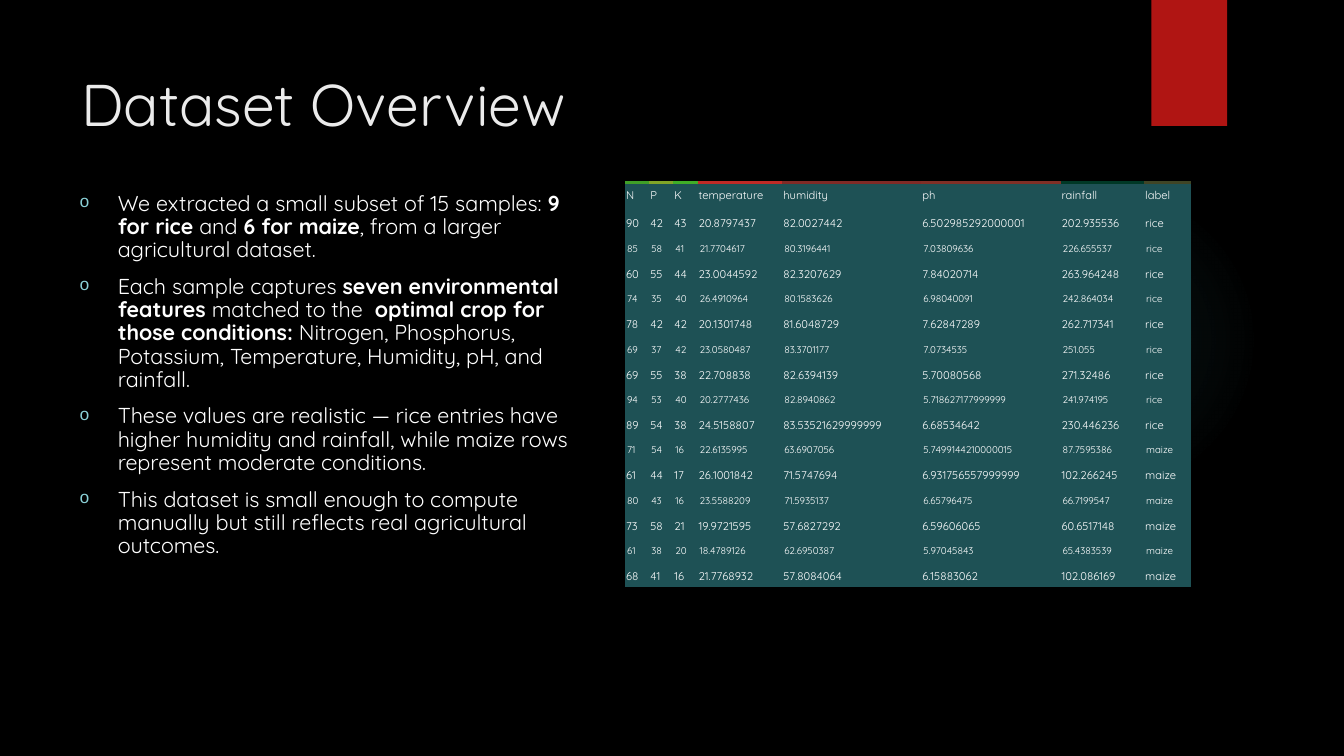
import pptx
import pptx.dml.color
import pptx.enum.shapes
import pptx.enum.text
import pptx.oxml
import pptx.oxml.ns
import pptx.util
from pptx.util import Inches

FONT = "Quicksand"
COLORS = {
    "background": "000000",
    "ribbon": "B01513",
    "title": "EBEBEB",
    "text": "FFFFFF",
    "bullet": "8AD0D6",
    "glow": "50B9C1",
    "cell": "1E5155",
}
NAMESPACE = 'xmlns:a="http://schemas.openxmlformats.org/drawingml/2006/main"'


def rgb(name):
    return pptx.dml.color.RGBColor.from_string(COLORS[name])


def add_run(paragraph, text, size, color, bold=False):
    run = paragraph.add_run()
    run.text = text
    run.font.name = FONT
    run.font.size = pptx.util.Pt(size)
    run.font.bold = bold
    run.font.color.rgb = rgb(color)


deck = pptx.Presentation()
deck.slide_width = Inches(13.33)
deck.slide_height = Inches(7.5)
slide = deck.slides.add_slide(deck.slide_layouts[6])
slide.background.fill.solid()
slide.background.fill.fore_color.rgb = rgb("background")

glow = slide.shapes.add_shape(
    pptx.enum.shapes.MSO_SHAPE.OVAL, Inches(9.41), Inches(1.83), Inches(3.08), Inches(3.08))
glow.shadow.inherit = False
glow.line.fill.background()
stops = "".join(
    f'<a:gs pos="{position * 1000}"><a:srgbClr val="{COLORS["glow"]}">'
    f'<a:alpha val="{alpha * 1000}"/></a:srgbClr></a:gs>'
    for position, alpha in [(0, 7), (36, 6), (69, 0)])
glow_fill = pptx.oxml.parse_xml(
    f'<a:gradFill {NAMESPACE} rotWithShape="1"><a:gsLst>{stops}</a:gsLst><a:path path="circle">'
    '<a:fillToRect l="50000" t="50000" r="50000" b="50000"/></a:path></a:gradFill>')
glow.element.spPr.find(pptx.oxml.ns.qn("a:prstGeom")).addnext(glow_fill)

ribbon = slide.shapes.add_shape(
    pptx.enum.shapes.MSO_SHAPE.RECTANGLE, Inches(11.42), 0, Inches(0.75), Inches(1.25))
ribbon.shadow.inherit = False
ribbon.fill.solid()
ribbon.fill.fore_color.rgb = rgb("ribbon")
ribbon.line.fill.background()

title = slide.shapes.add_textbox(Inches(0.71), Inches(0.62), Inches(6.43), Inches(1.8)).text_frame
title.word_wrap = True
add_run(title.paragraphs[0], "Dataset Overview", 42, "title")

points = [
    [("We extracted a small subset of 15 samples: ", False), ("9 for rice ", True),
     ("and ", False), ("6 for maize", True), (", from a larger agricultural dataset.", False)],
    [("Each sample captures ", False), ("seven environmental features ", True),
     ("matched to the ", False), (" optimal crop for those conditions: ", True),
     ("Nitrogen, Phosphorus, Potassium, Temperature, Humidity, pH, and rainfall.", False)],
    [("These values are realistic — rice entries have higher humidity and rainfall, "
      "while maize rows represent moderate conditions.", False)],
    [("This dataset is small enough to compute manually but still reflects real "
      "agricultural outcomes.", False)],
]
overview = slide.shapes.add_textbox(
    Inches(0.69), Inches(1.86), Inches(5.13), Inches(5.14)).text_frame
overview.word_wrap = True
for index, point in enumerate(points):
    paragraph = overview.add_paragraph() if index else overview.paragraphs[0]
    properties = paragraph._p.get_or_add_pPr()
    properties.set("marL", str(Inches(0.38)))
    properties.set("indent", str(-Inches(0.38)))
    for bullet in [f'<a:buClr {NAMESPACE}><a:srgbClr val="{COLORS["bullet"]}"/></a:buClr>',
                   f'<a:buSzPct {NAMESPACE} val="80000"/>',
                   f'<a:buFont {NAMESPACE} typeface="Courier New"/>',
                   f'<a:buChar {NAMESPACE} char="o"/>']:
        properties.append(pptx.oxml.parse_xml(bullet))
    paragraph.line_spacing = 0.9
    paragraph.space_before = pptx.util.Pt(9.5 if index else 0)
    for text, bold in point:
        add_run(paragraph, text, 15.4, "text", bold)

headings = [
    ("N", 0.24, "409F27"), ("P", 0.24, "80A427"), ("K", 0.24, "40AE27"),
    ("temperature", 0.84, "C02A26"), ("humidity", 1.38, "802A26"), ("ph", 1.38, "802F26"),
    ("rainfall", 0.83, "003826"), ("label", 0.46, "404526"),
]
samples = [
    ("90", "42", "43", "20.8797437", "82.0027442", "6.502985292000001", "202.935536", "rice"),
    ("85", "58", "41", "21.7704617", "80.3196441", "7.03809636", "226.655537", "rice"),
    ("60", "55", "44", "23.0044592", "82.3207629", "7.84020714", "263.964248", "rice"),
    ("74", "35", "40", "26.4910964", "80.1583626", "6.98040091", "242.864034", "rice"),
    ("78", "42", "42", "20.1301748", "81.6048729", "7.62847289", "262.717341", "rice"),
    ("69", "37", "42", "23.0580487", "83.3701177", "7.0734535", "251.055", "rice"),
    ("69", "55", "38", "22.708838", "82.6394139", "5.70080568", "271.32486", "rice"),
    ("94", "53", "40", "20.2777436", "82.8940862", "5.718627177999999", "241.974195", "rice"),
    ("89", "54", "38", "24.5158807", "83.53521629999999", "6.68534642", "230.446236", "rice"),
    ("71", "54", "16", "22.6135995", "63.6907056", "5.7499144210000015", "87.7595386", "maize"),
    ("61", "44", "17", "26.1001842", "71.5747694", "6.931756557999999", "102.266245", "maize"),
    ("80", "43", "16", "23.5588209", "71.5935137", "6.65796475", "66.7199547", "maize"),
    ("73", "58", "21", "19.9721595", "57.6827292", "6.59606065", "60.6517148", "maize"),
    ("61", "38", "20", "18.4789126", "62.6950387", "5.97045843", "65.4383539", "maize"),
    ("68", "41", "16", "21.7768932", "57.8084064", "6.15883062", "102.086169", "maize"),
]
rows = [[name for name, width, accent in headings]] + samples

crops = slide.shapes.add_table(
    len(rows), len(headings), Inches(6.2), Inches(1.81), Inches(5.6), Inches(4.09)).table
crops.first_row = False
crops.horz_banding = False
style = crops._tbl.tblPr.find(pptx.oxml.ns.qn("a:tableStyleId"))
style.text = "{2D5ABB26-0587-4C30-8999-92F81FD0307C}"
for column, (name, width, accent) in zip(crops.columns, headings):
    column.width = Inches(width)

for row_index, values in enumerate(rows):
    small = row_index > 0 and row_index % 2 == 0
    crops.rows[row_index].height = Inches(0.24 if small else 0.26)
    for column_index, value in enumerate(values):
        cell = crops.cell(row_index, column_index)
        cell.margin_left = Inches(0.02 if small else 0.01)
        cell.margin_right = 0
        cell.margin_top = cell.margin_bottom = Inches(0.04)
        anchors = pptx.enum.text.MSO_ANCHOR
        cell.vertical_anchor = anchors.BOTTOM if row_index else anchors.MIDDLE
        cell.fill.solid()
        cell.fill.fore_color.rgb = rgb("cell")
        add_run(cell.text_frame.paragraphs[0], value, 7 if small else 8, "text")

for column_index, (name, width, accent) in enumerate(headings):
    top_border = pptx.oxml.parse_xml(
        f'<a:lnT {NAMESPACE} w="{pptx.util.Pt(2.25)}"><a:solidFill>'
        f'<a:srgbClr val="{accent}"/></a:solidFill></a:lnT>')
    crops.cell(0, column_index)._tc.get_or_add_tcPr().insert(0, top_border)

deck.save("out.pptx")
